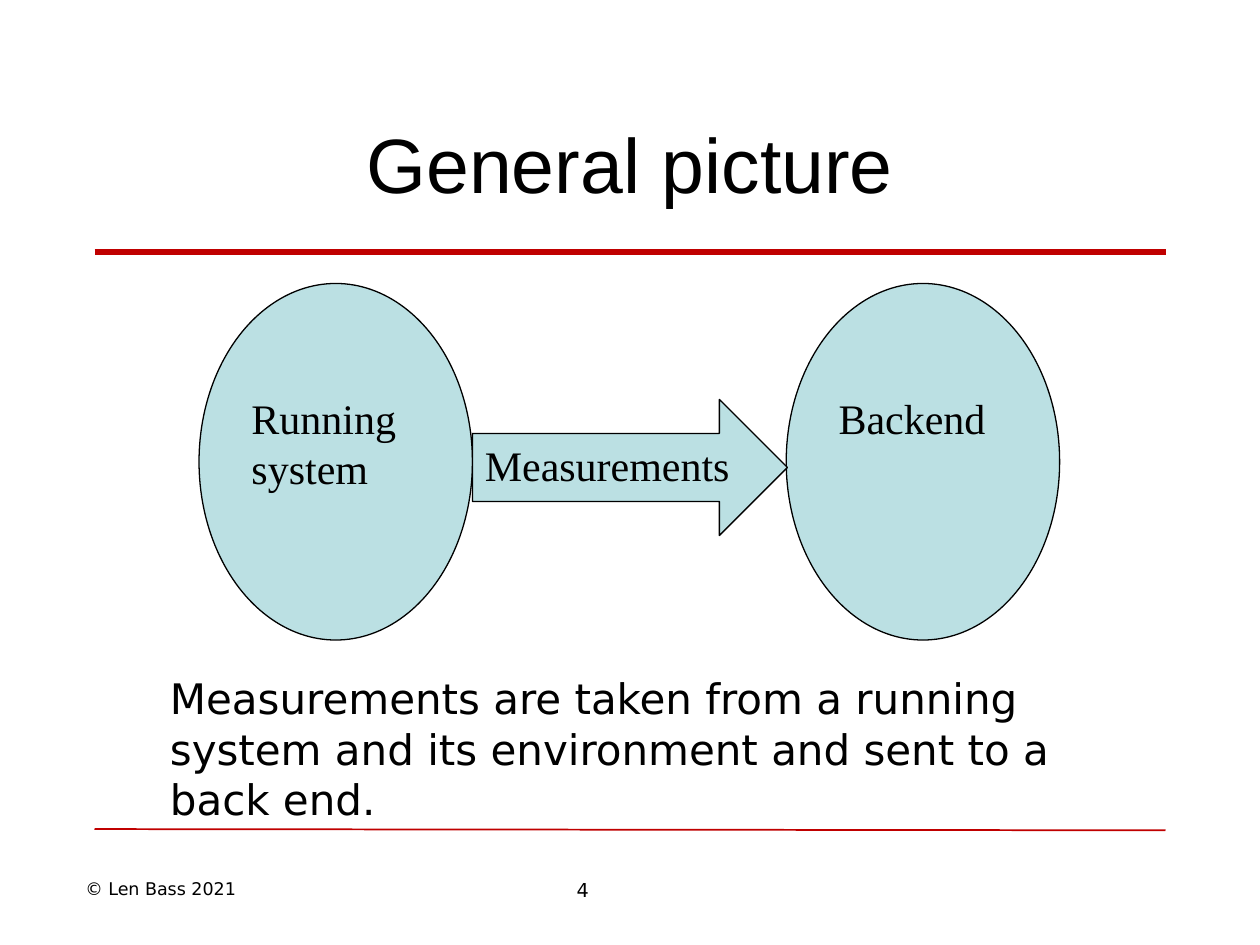
from lxml import etree
from pptx import Presentation
from pptx.dml.color import RGBColor
from pptx.enum.shapes import MSO_CONNECTOR, MSO_SHAPE
from pptx.enum.text import MSO_ANCHOR, PP_ALIGN
from pptx.oxml.ns import qn
from pptx.util import Inches, Pt

OVAL, ARROW = MSO_SHAPE.OVAL, MSO_SHAPE.RIGHT_ARROW
LINE = MSO_CONNECTOR.STRAIGHT
TOP, MIDDLE = MSO_ANCHOR.TOP, MSO_ANCHOR.MIDDLE
LEFT, CENTER = PP_ALIGN.LEFT, PP_ALIGN.CENTER
BLACK, RED, AQUA = "000000", "C00000", "BBE0E3"
SANS, SERIF, HEAD = "DejaVu Sans", "Times New Roman", "Arial"


def color(code):
    return RGBColor.from_string(code)


class Deck:
    """Holds the style and the current slide."""

    def __init__(self):
        self.prs = Presentation()
        self.prs.slide_width, self.prs.slide_height = Inches(10), Inches(7.5)
        self.slide = self.prs.slides.add_slide(self.prs.slide_layouts[5])
        self.shapes = self.slide.shapes

    def label(self, shape, text, size, face, align=LEFT, anchor=TOP, inset=0.05):
        frame = shape.text_frame
        frame.text = text
        form = {"word_wrap": True, "vertical_anchor": anchor,
                "margin_left": Inches(0.1), "margin_right": Inches(0.1),
                "margin_top": Inches(inset), "margin_bottom": Inches(0.05)}
        for name, value in form.items():
            setattr(frame, name, value)
        par = frame.paragraphs[0]
        par.alignment = align
        for name, value in {"size": Pt(size), "name": face}.items():
            setattr(par.font, name, value)
        par.font.color.rgb = color(BLACK)

    def title(self, box, text):
        shape = self.shapes.title
        shape.left, shape.top, shape.width, shape.height = map(Inches, box)
        self.label(shape, text, 44, HEAD, CENTER, MIDDLE)

    def text(self, box, text, size, align=LEFT):
        shape = self.shapes.add_textbox(*map(Inches, box))
        self.label(shape, text, size, SANS, align)

    def rule(self, start, end, width):
        line = self.shapes.add_connector(LINE, *map(Inches, start + end))
        line.line.color.rgb = color(RED)
        line.line.width = Pt(width)
        etree.SubElement(line._element.spPr, qn("a:effectLst"))

    def node(self, kind, box, text, inset=0.05):
        shape = self.shapes.add_shape(kind, *map(Inches, box))
        shape.shadow.inherit = False
        shape.fill.solid()
        shape.fill.fore_color.rgb = color(AQUA)
        shape.line.color.rgb = color(BLACK)
        shape.line.width = Pt(0.75)
        self.label(shape, text, 24, SERIF, inset=inset)


def main():
    deck = Deck()

    # Title, rules and footer
    deck.title((0.75, 0.67, 8.5, 1.25), "General picture")
    deck.rule((0.75, 2), (9.25, 2), 3)
    deck.rule((0.75, 6.58), (9.25, 6.59), 1)
    deck.text((0.58, 6.92, 2.17, 0.27), "© Len Bass 2021", 10)
    deck.text((4, 6.92, 1.25, 0.29), "4", 11, CENTER)

    # Two systems joined by an arrow
    for left, name in ((1.58, "Running system"), (6.24, "Backend")):
        deck.node(OVAL, (left, 2.25, 2.17, 2.83), name, inset=0.45)
    deck.node(ARROW, (3.75, 3.17, 2.5, 1.08), "Measurements")

    # Explanation
    deck.text((1.25, 5.29, 7.92, 1.31),
              "Measurements are taken from a running system and its "
              "environment and sent to a back end.", 24)

    deck.prs.save("out.pptx")


if __name__ == "__main__":
    main()
